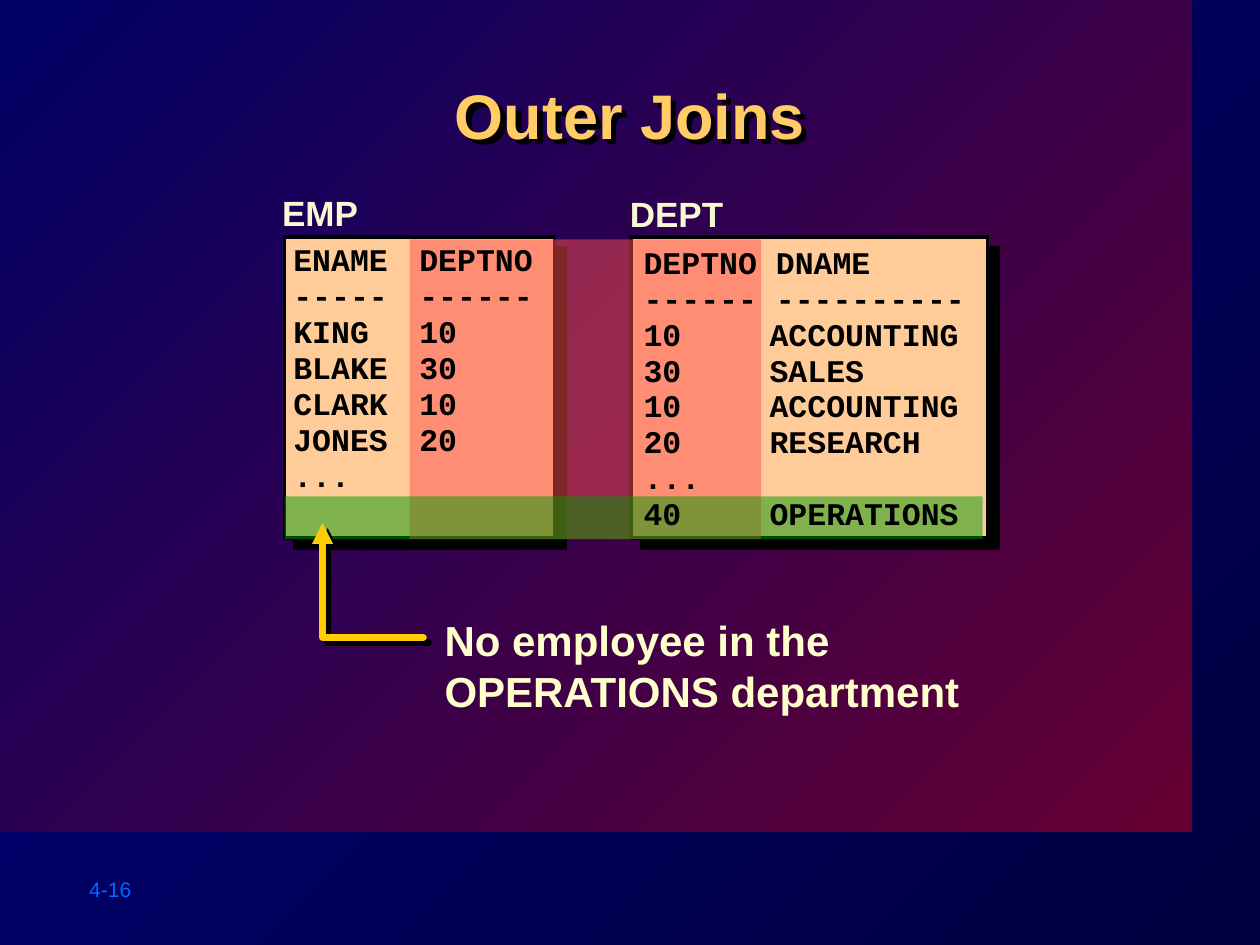
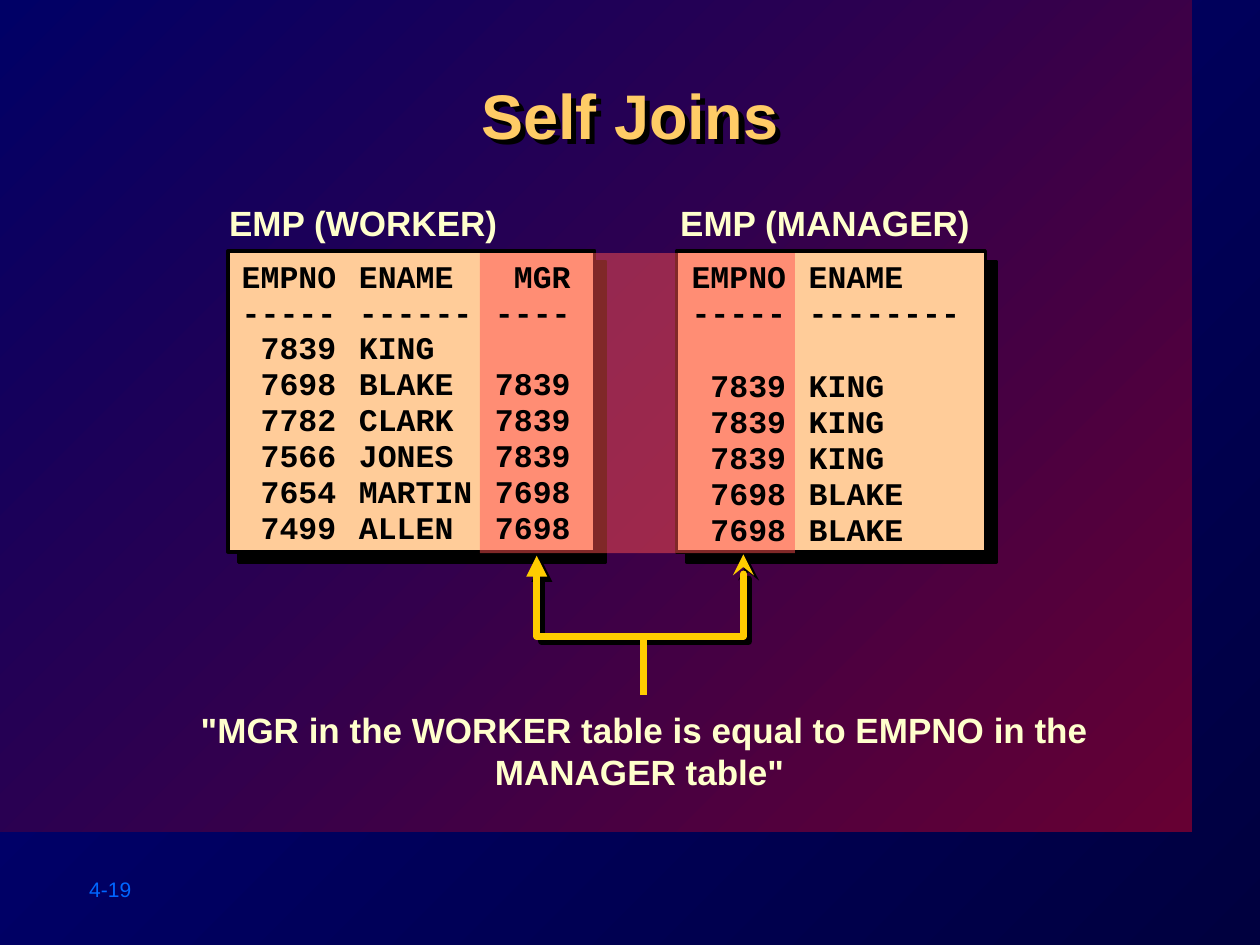
"""Build two slides that explain outer joins and self joins with sample tables."""
from dataclasses import dataclass

from lxml import etree
from pptx import Presentation
from pptx import util as u
from pptx.dml.color import RGBColor
from pptx.enum import shapes, text
from pptx.oxml import ns


@dataclass(frozen=True)
class Theme:
    sans: str = "Arial"
    mono: str = "Courier New"
    backdrop: tuple = ("00003F", "000080")
    panel: tuple = ("660033", "000066")
    title: str = "FFCC66"
    cream: str = "FFFFCC"
    label: str = "F8F8D3"
    number: str = "0066FF"
    frame: str = "FFCC99"
    ink: str = "000000"
    key_band: str = "FF5050"
    row_band: str = "009900"
    arrow: str = "FFCC00"
    title_size: int = 36
    caption_size: int = 24
    label_size: int = 20
    table_size: int = 18
    number_size: int = 12
    frame_shadow: float = 8.5
    small_shadow: float = 4.2


theme = Theme()


def add_text(page, at, lines, size, color, font=theme.sans, bold=True,
             align=text.PP_ALIGN.LEFT, tabs=(), spacing=None, gap_after=None):
    box = page.shapes.add_textbox(*map(u.Inches, at))
    box.text_frame.word_wrap = True
    box.text_frame.text = "\n".join(lines)
    for number, para in enumerate(box.text_frame.paragraphs):
        para.alignment = align
        para.line_spacing = spacing
        if number == gap_after:
            para.space_after = u.Pt(21.5)
        if tabs:
            stops = etree.SubElement(para._p.get_or_add_pPr(), ns.qn("a:tabLst"))
            for stop in tabs:
                etree.SubElement(stops, ns.qn("a:tab"), pos=str(u.Inches(stop)), algn="l")
        para.font.name, para.font.size, para.font.bold = font, u.Pt(size), bold
        para.font.color.rgb = RGBColor.from_string(color)
    return box


def set_shadow(shape, distance=0):
    effects = etree.SubElement(shape._element.spPr, ns.qn("a:effectLst"))
    if distance:
        shadow = etree.SubElement(effects, ns.qn("a:outerShdw"), blurRad="0",
                                  dist=str(u.Pt(distance)), dir="2700000",
                                  algn="ctr", rotWithShape="0")
        etree.SubElement(shadow, ns.qn("a:srgbClr"), val=theme.ink)


slides = [
    {
        "title": "Outer Joins",
        "number": "4-16",
        "frames": [(2.26, 1.88, 2.14, 2.39), (5.01, 1.88, 2.83, 2.39)],
        "labels": [("EMP", (2.14, 1.47, 1.5, 0.43)), ("DEPT", (4.9, 1.48, 1.5, 0.43))],
        "label_color": theme.label,
        "bands": [((3.25, 1.9, 2.79, 2.38), theme.key_band),
                  ((2.26, 3.94, 5.54, 0.34), theme.row_band)],
        "caption": {"at": (3.43, 4.83, 5.1, 0.9), "size": theme.caption_size,
                    "lines": ["No employee in the", "OPERATIONS department"]},
        "arrow": [(3.36, 5.06), (2.56, 5.06), (2.56, 4.15)],
        "ends": {"tailEnd": "triangle"},
        "tables": [
            {"at": (2.23, 1.88, 2.17, 2.38), "tabs": (1,),
             "lines": ["ENAME\tDEPTNO", "-----\t------", "KING\t10", "BLAKE\t30",
                       "CLARK\t10", "JONES\t20", "..."]},
            {"at": (5.01, 1.9, 2.8, 2.38), "tabs": (1,),
             "lines": ["DEPTNO DNAME", "------ ----------", "10\tACCOUNTING",
                       "30\tSALES", "10\tACCOUNTING", "20\tRESEARCH", "...",
                       "40\tOPERATIONS"]},
        ],
    },
    {
        "title": "Self Joins",
        "number": "4-19",
        "frames": [(1.81, 1.99, 2.91, 2.39), (5.37, 1.99, 2.45, 2.39)],
        "labels": [("EMP (WORKER)", (1.72, 1.55, 2.6, 0.43)),
                   ("EMP (MANAGER)", (5.3, 1.55, 2.6, 0.43))],
        "label_color": theme.cream,
        "bands": [((3.81, 2.01, 2.5, 2.38), theme.key_band)],
        "caption": {"at": (1.46, 5.57, 7.31, 0.77), "size": theme.label_size,
                    "align": text.PP_ALIGN.CENTER,
                    "lines": ['"MGR in the WORKER table is equal to EMPNO in the '
                              'MANAGER table" ']},
        "arrow": [(4.26, 4.41), (4.26, 5.05), (5.9, 5.05), (5.9, 4.4)],
        "ends": {"headEnd": "triangle", "tailEnd": "stealth"},
        "stem": (5.11, 5.04, 5.11, 5.52),
        "tables": [
            {"at": (1.82, 2.01, 2.88, 2.38), "tabs": (0.93, 2.01),
             "lines": ["EMPNO\tENAME\t MGR", "-----\t------\t----", " 7839\tKING",
                       " 7698\tBLAKE\t7839", " 7782\tCLARK\t7839",
                       " 7566\tJONES\t7839", " 7654\tMARTIN\t7698",
                       " 7499\tALLEN\t7698"]},
            {"at": (5.39, 2.01, 2.42, 2.4), "tabs": (0.93,), "gap_after": 1,
             "lines": ["EMPNO\tENAME", "-----\t--------"]
                      + [" 7839\tKING"] * 3 + [" 7698\tBLAKE"] * 2},
        ],
    },
]

deck = Presentation()
deck.slide_width, deck.slide_height = u.Inches(10), u.Inches(7.5)

for slide in slides:
    page = deck.slides.add_slide(deck.slide_layouts[6])
    panel = page.shapes.add_shape(shapes.MSO_SHAPE.RECTANGLE, 0, 0,
                                  u.Inches(9.46), u.Inches(6.6))
    panel.line.fill.background()
    set_shadow(panel)
    for fill, colors in ((page.background.fill, theme.backdrop), (panel.fill, theme.panel)):
        fill.gradient()
        fill.gradient_angle = 135
        for stop, position, color in zip(fill.gradient_stops, (0, 1), colors):
            stop.position = position
            stop.color.rgb = RGBColor.from_string(color)

    add_text(page, (0.61, 6.91, 1.11, 0.3), [slide["number"]], theme.number_size,
             theme.number, bold=False)

    for at in slide["frames"]:
        frame = page.shapes.add_shape(shapes.MSO_SHAPE.RECTANGLE, *map(u.Inches, at))
        frame.fill.solid()
        frame.fill.fore_color.rgb = RGBColor.from_string(theme.frame)
        frame.line.color.rgb = RGBColor.from_string(theme.ink)
        frame.line.width = u.Pt(2)
        set_shadow(frame, theme.frame_shadow)

    title = add_text(page, (1.01, 0.56, 7.98, 0.96), [slide["title"]],
                     theme.title_size, theme.title, align=text.PP_ALIGN.CENTER)
    set_shadow(title, theme.small_shadow)
    for label, at in slide["labels"]:
        add_text(page, at, [label], theme.label_size, slide["label_color"])

    for at, color in slide["bands"]:
        band = page.shapes.add_shape(shapes.MSO_SHAPE.RECTANGLE, *map(u.Inches, at))
        band.fill.solid()
        band.fill.fore_color.rgb = RGBColor.from_string(color)
        tint = band._element.spPr.find(".//" + ns.qn("a:srgbClr"))
        etree.SubElement(tint, ns.qn("a:alpha"), val="50000")
        band.line.fill.background()
        set_shadow(band)

    add_text(page, color=theme.cream, **slide["caption"])

    points = [(u.Inches(x), u.Inches(y)) for x, y in slide["arrow"]]
    builder = page.shapes.build_freeform(*points[0])
    builder.add_line_segments(points[1:], close=False)
    arrow = builder.convert_to_shape()
    arrow.fill.background()
    strokes = [arrow]
    if "stem" in slide:
        strokes.append(page.shapes.add_connector(shapes.MSO_CONNECTOR.STRAIGHT,
                                                 *map(u.Inches, slide["stem"])))
    for stroke in strokes:
        stroke.line.color.rgb = RGBColor.from_string(theme.arrow)
        stroke.line.width = u.Pt(4)
    outline = arrow.line._get_or_add_ln()
    outline.set("cap", "rnd")
    etree.SubElement(outline, ns.qn("a:round"))
    for end, kind in slide["ends"].items():
        etree.SubElement(outline, ns.qn("a:" + end), type=kind)
    for stroke in strokes:
        set_shadow(stroke, theme.small_shadow if stroke is arrow else 0)

    for table in slide["tables"]:
        add_text(page, size=theme.table_size, color=theme.ink, font=theme.mono,
                 spacing=0.95, **table)

deck.save("out.pptx")
